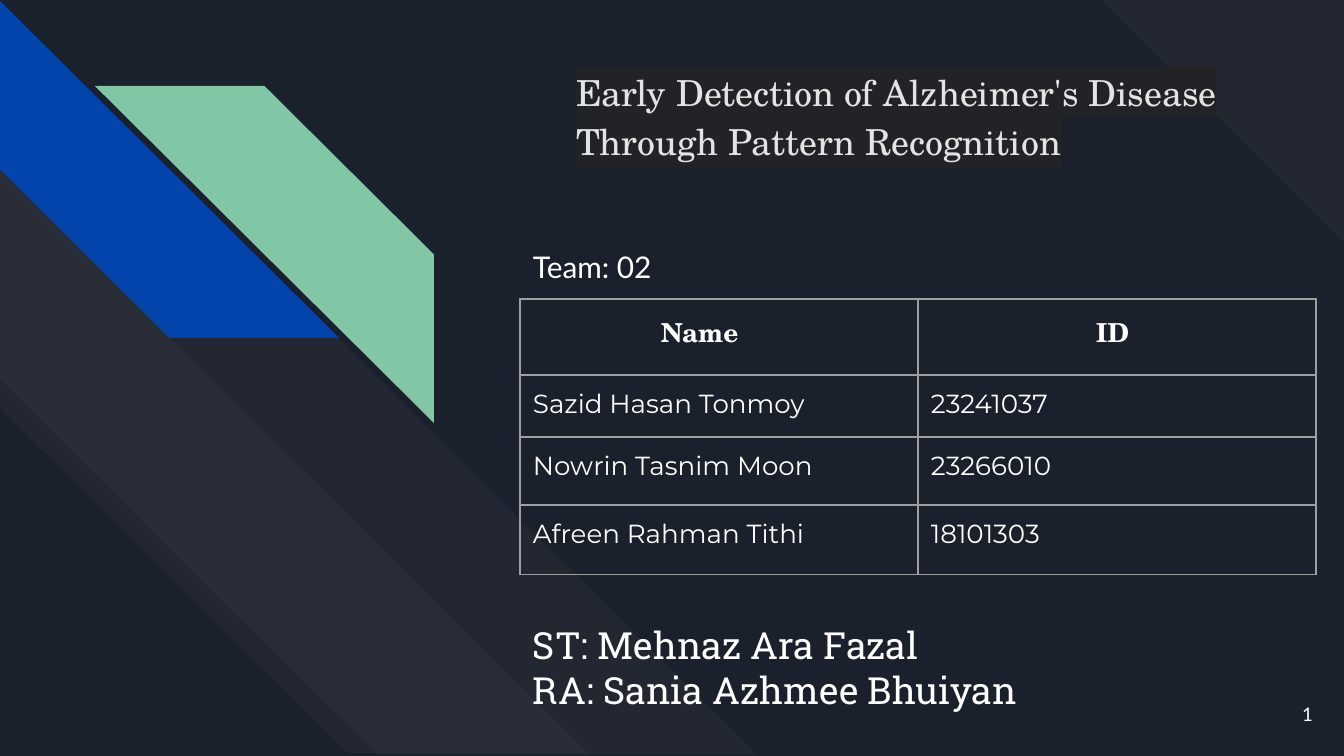
from dataclasses import dataclass

from lxml import etree
from pptx import Presentation
from pptx import util as u
from pptx.dml.color import RGBColor
from pptx.enum import shapes, text
from pptx.oxml import ns

EMU_PER_PX = 914400 / 134.4
PAD = 13
COLORS = {
    "bg": "1B212C",
    "white": "FFFFFF",
    "blue": "0145AC",
    "green": "82C7A5",
    "title": "E3E3E3",
    "highlight": "222327",
    "border": "9E9E9E",
}


@dataclass(frozen=True)
class Stripe:
    x: int
    y: int
    w: int
    h: int
    adj: float
    color: str = "white"
    alpha: int = 100
    rotation: int = 270
    flip: bool = False


@dataclass(frozen=True)
class Member:
    name: str
    id: str


STRIPES = [
    Stripe(1102, 0, 242, 242, 0, alpha=3, rotation=90),
    Stripe(1, -1, 754, 758, 0.5, alpha=3),
    Stripe(1, 167, 585, 587, 0.59, alpha=3),
    Stripe(1, 0, 337, 339, 0.5, "blue"),
    Stripe(95, 86, 339, 337, 0.5, "green", rotation=0, flip=True),
]
MEMBERS = [
    Member("Sazid Hasan Tonmoy", "23241037"),
    Member("Nowrin Tasnim Moon", "23266010"),
    Member("Afreen Rahman Tithi", "18101303"),
]
HEADERS = [("Name", 141), ("ID", 178)]
ROW_HEIGHTS = [76, 62, 68, 70]
COL_WIDTH = 398


def px(n: int) -> u.Emu:
    return u.Emu(round(n * EMU_PER_PX))


def rgb(name: str) -> RGBColor:
    return RGBColor.from_string(COLORS[name])


def add_color(parent, name: str):
    fill = etree.SubElement(parent, ns.qn("a:solidFill"))
    return etree.SubElement(fill, ns.qn("a:srgbClr"), val=COLORS[name])


def write(tf, content: str, *, size: float, font: str, color: str = "white",
          bold: bool = False, align=text.PP_ALIGN.LEFT, spacing: float = 1.0,
          before: int = 0, after: int = 0, highlight: str = "") -> None:
    for i, line in enumerate(content.split("\n")):
        p = tf.paragraphs[0] if i == 0 else tf.add_paragraph()
        p.alignment = align
        p.line_spacing = spacing
        p.space_before, p.space_after = u.Pt(before), u.Pt(after)
        r = p.add_run()
        r.text = line
        r.font.size, r.font.bold = u.Pt(size), bold
        r.font.color.rgb = rgb(color)
        if highlight:
            mark = etree.SubElement(r.font._element, ns.qn("a:highlight"))
            etree.SubElement(mark, ns.qn("a:srgbClr"), val=COLORS[highlight])
        r.font.name = font


def set_margins(box, left: int = PAD) -> None:
    box.margin_left = px(left)
    box.margin_right = box.margin_top = box.margin_bottom = px(PAD)


def add_text(s, x: int, y: int, w: int, h: int, content: str,
             anchor=text.MSO_ANCHOR.TOP, **fmt) -> None:
    tf = s.shapes.add_textbox(px(x), px(y), px(w), px(h)).text_frame
    tf.word_wrap = True
    tf.vertical_anchor = anchor
    set_margins(tf)
    write(tf, content, **fmt)


def add_stripe(s, stripe: Stripe) -> None:
    sp = s.shapes.add_shape(shapes.MSO_SHAPE.DIAGONAL_STRIPE, px(stripe.x),
                            px(stripe.y), px(stripe.w), px(stripe.h))
    sp.adjustments[0] = stripe.adj
    sp.rotation = stripe.rotation
    sp.shadow.inherit = False
    sp.line.fill.background()
    sp.fill.solid()
    sp.fill.fore_color.rgb = rgb(stripe.color)
    if stripe.flip:
        sp._element.spPr.find(ns.qn("a:xfrm")).set("flipH", "1")
    if stripe.alpha < 100:
        clr = sp._element.spPr.find(ns.qn("a:solidFill"))[0]
        etree.SubElement(clr, ns.qn("a:alpha"), val=str(stripe.alpha * 1000))


def style_cell(cell, left: int = PAD) -> None:
    set_margins(cell, left)
    cell.fill.background()
    tcPr = cell._tc.get_or_add_tcPr()
    for i, side in enumerate(("lnL", "lnR", "lnT", "lnB")):
        ln = etree.Element(ns.qn(f"a:{side}"), w=str(u.Pt(0.75)))
        add_color(ln, "border")
        tcPr.insert(i, ln)


def add_team_table(s, x: int, y: int) -> None:
    frame = s.shapes.add_table(len(ROW_HEIGHTS), len(HEADERS), px(x), px(y),
                               px(COL_WIDTH * len(HEADERS)), px(sum(ROW_HEIGHTS)))
    tbl = frame.table
    tbl.first_row = tbl.horz_banding = False
    for col in tbl.columns:
        col.width = px(COL_WIDTH)
    for row, height in zip(tbl.rows, ROW_HEIGHTS):
        row.height = px(height)
    for c, (label, left) in enumerate(HEADERS):
        cell = tbl.cell(0, c)
        style_cell(cell, left)
        write(cell.text_frame, label, size=14, font="TeX Gyre Schola", bold=True)
    for r, member in enumerate(MEMBERS, start=1):
        for c, value in enumerate((member.name, member.id)):
            cell = tbl.cell(r, c)
            style_cell(cell)
            write(cell.text_frame, value, size=14, font="Montserrat")


def main() -> None:
    prs = Presentation()
    prs.slide_width, prs.slide_height = px(1344), px(756)
    s = prs.slides.add_slide(prs.slide_layouts[6])
    s.background.fill.solid()
    s.background.fill.fore_color.rgb = rgb("bg")
    for stripe in STRIPES:
        add_stripe(s, stripe)
    add_text(s, 563, 51, 753, 146,
             "Early Detection of Alzheimer's Disease Through Pattern Recognition",
             size=19.2, font="TeX Gyre Schola", color="title", spacing=1.15,
             before=18, after=4, highlight="highlight")
    add_team_table(s, 520, 299)
    add_text(s, 520, 609, 731, 118,
             "ST: Mehnaz Ara Fazal\nRA: Sania Azhmee Bhuiyan",
             size=20, font="Roboto Slab")
    add_text(s, 520, 236, 692, 63, "Team: 02", size=16, font="Lato")
    add_text(s, 1246, 685, 80, 58, "1", anchor=text.MSO_ANCHOR.MIDDLE,
             size=10, font="Lato", align=text.PP_ALIGN.RIGHT)
    prs.save("out.pptx")


if __name__ == "__main__":
    main()
